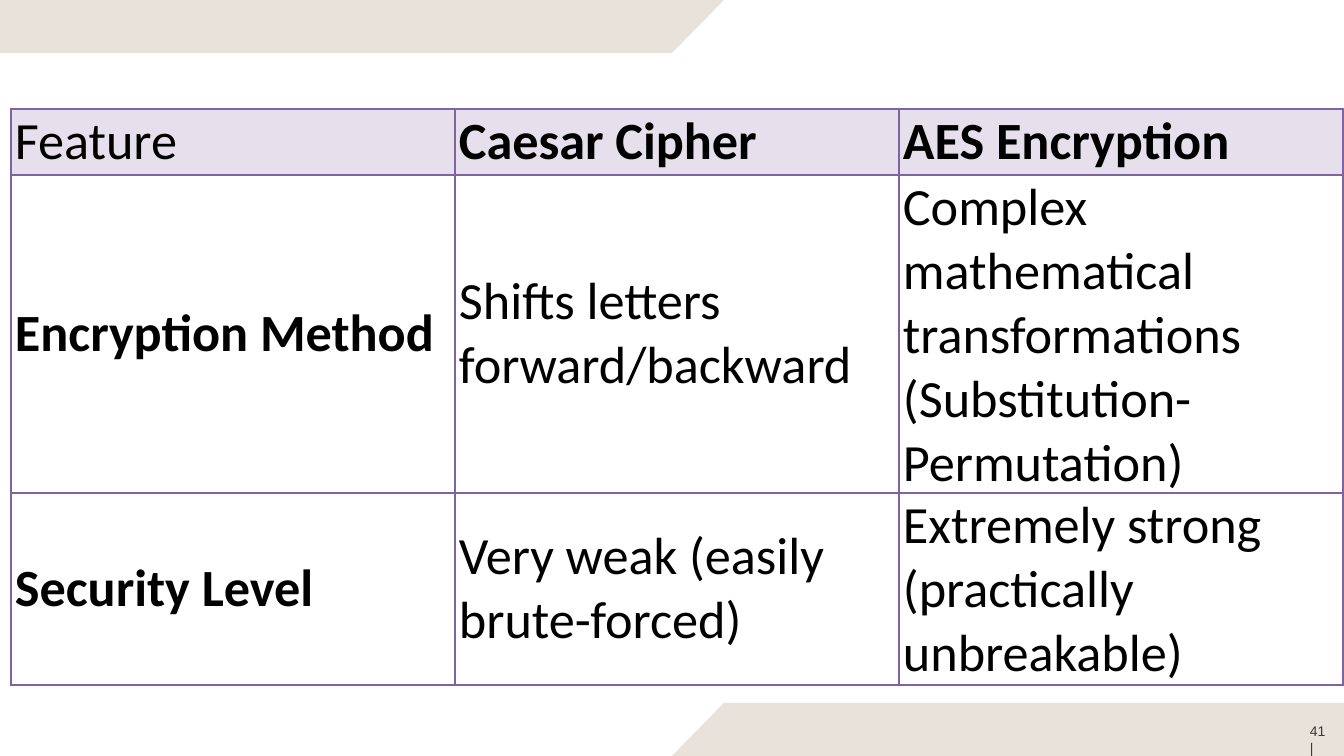
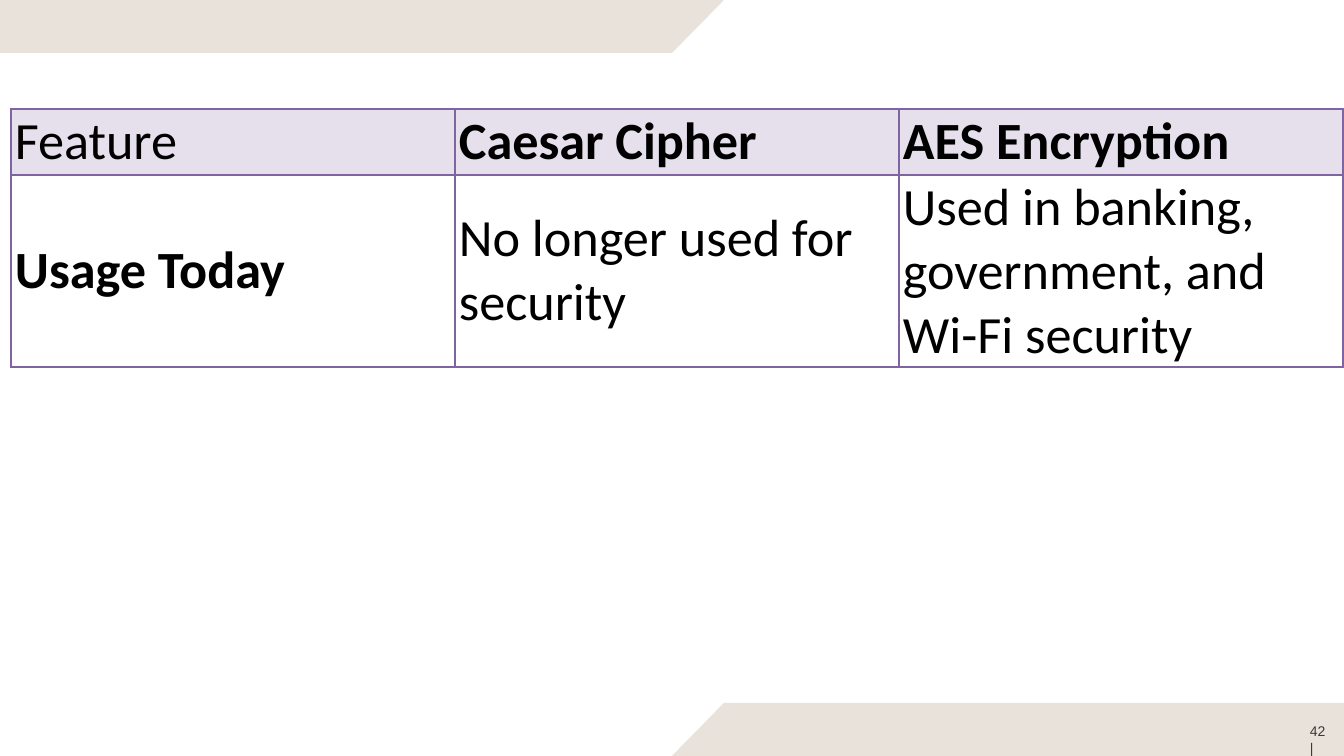
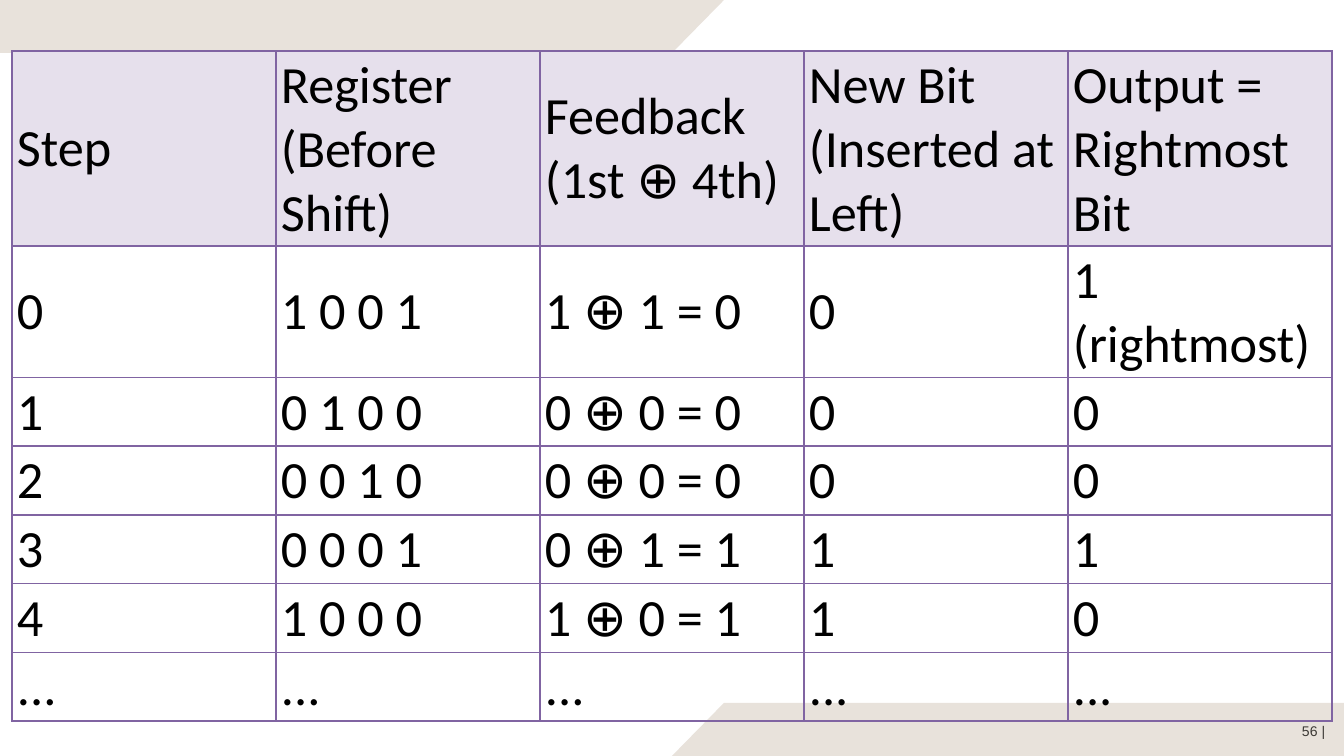
import dataclasses
import typing

import lxml.etree
import pptx
import pptx.dml.color
import pptx.enum.text
import pptx.oxml.ns
import pptx.presentation
import pptx.slide
import pptx.table
import pptx.util

EMU_PER_PX = 914400 / 134.4
SLIDE_WIDTH, SLIDE_HEIGHT = 1344, 756
BLANK_LAYOUT = 6


@dataclasses.dataclass(frozen=True)
class Theme:
    """Colours, fonts and type sizes of the deck."""

    background: str = "FFFFFF"
    band: str = "E8E2DB"
    page_number: str = "3C3935"
    cell_text: str = "000000"
    header_fill: str = "E6E0EC"
    border: str = "8064A2"
    table_font: str = "Calibri"
    page_font: str = "Arial"
    table_size: float = 28
    page_size: float = 7.5
    border_width: float = 1


@dataclasses.dataclass(frozen=True)
class Comparison:
    """A table slide with its page number."""

    page: int
    page_indent: int
    left: int
    top: int
    column_width: int
    row_heights: tuple[int, ...]
    margin_x: int
    margin_y: int
    bold_labels: bool
    rows: tuple[tuple[str, ...], ...]


THEME = Theme()

BANDS = (
    ((724, 0), (0, 0), (0, 53), (672, 53)),
    ((1344, 703), (724, 703), (672, 756), (1344, 756)),
)

CIPHER_HEADER = ("Feature", "Caesar Cipher", "AES Encryption")


def cipher_comparison(
    page: int, row_heights: tuple[int, ...], *features: tuple[str, ...]
) -> Comparison:
    """Describe a slide that compares the two ciphers."""
    return Comparison(
        page, 9, 11, 109, 444, row_heights, 4, 1, True, (CIPHER_HEADER, *features)
    )


SLIDES = (
    cipher_comparison(
        41,
        (66, 318, 192),
        (
            "Encryption Method",
            "Shifts letters forward/backward",
            "Complex mathematical transformations (Substitution-Permutation)",
        ),
        (
            "Security Level",
            "Very weak (easily brute-forced)",
            "Extremely strong (practically unbreakable)",
        ),
    ),
    cipher_comparison(
        42,
        (66, 192),
        (
            "Usage Today",
            "No longer used for security",
            "Used in banking, government, and Wi-Fi security",
        ),
    ),
    Comparison(
        page=56,
        page_indent=1,
        left=12,
        top=51,
        column_width=264,
        row_heights=(195, 131) + (68,) * 5,
        margin_x=5,
        margin_y=3,
        bold_labels=False,
        rows=(
            (
                "Step",
                "Register (Before Shift)",
                "Feedback (1st ⊕ 4th)",
                "New Bit (Inserted at Left)",
                "Output = Rightmost Bit",
            ),
            ("0", "1 0 0 1", "1 ⊕ 1 = 0", "0", "1 (rightmost)"),
            ("1", "0 1 0 0", "0 ⊕ 0 = 0", "0", "0"),
            ("2", "0 0 1 0", "0 ⊕ 0 = 0", "0", "0"),
            ("3", "0 0 0 1", "0 ⊕ 1 = 1", "1", "1"),
            ("4", "1 0 0 0", "1 ⊕ 0 = 1", "1", "0"),
            ("...",) * 5,
        ),
    ),
)


def px(length: int) -> pptx.util.Emu:
    """Turn pixels into EMU."""
    return pptx.util.Emu(round(length * EMU_PER_PX))


def rgb(value: str) -> pptx.dml.color.RGBColor:
    """Turn a hex string into a colour."""
    return pptx.dml.color.RGBColor.from_string(value)


def style_font(font: typing.Any, name: str, size: float, colour: str) -> None:
    """Set the face, size and colour of a font."""
    font.name = name
    font.size = pptx.util.Pt(size)
    font.color.rgb = rgb(colour)


def draw_bands(slide: pptx.slide.Slide) -> None:
    """Draw the slanted bands at the top and bottom."""
    for start, *corners in BANDS:
        outline = slide.shapes.build_freeform(*start, scale=EMU_PER_PX)
        outline.add_line_segments(corners, close=True)
        band = outline.convert_to_shape()
        band.shadow.inherit = False
        band.fill.solid()
        band.fill.fore_color.rgb = rgb(THEME.band)
        band.line.fill.background()


def draw_page_number(slide: pptx.slide.Slide, page: int, indent: int) -> None:
    """Write the page number and its closing bar."""
    footer = slide.shapes.add_textbox(px(1301), px(723), px(31), px(20)).text_frame
    footer.margin_left = footer.margin_right = 0
    footer.margin_top = footer.margin_bottom = 0
    footer.word_wrap = True
    footer.auto_size = pptx.enum.text.MSO_AUTO_SIZE.SHAPE_TO_FIT_TEXT
    line = footer.paragraphs[0]
    line.text = f"{page} "
    line._p.get_or_add_pPr().set("marL", str(px(indent)))
    bar = line.add_run()
    bar.text = "|"
    bar._r.get_or_add_rPr().set("spc", "-50")
    for run in line.runs:
        style_font(run.font, THEME.page_font, THEME.page_size, THEME.page_number)


def add_borders(cell: pptx.table._Cell) -> None:
    """Rule all four sides of a cell."""
    qn = pptx.oxml.ns.qn
    properties = cell._tc.get_or_add_tcPr()
    for position, side in enumerate(("a:lnL", "a:lnR", "a:lnT", "a:lnB")):
        rule = lxml.etree.Element(
            qn(side), w=str(pptx.util.Pt(THEME.border_width))
        )
        fill = lxml.etree.SubElement(rule, qn("a:solidFill"))
        lxml.etree.SubElement(fill, qn("a:srgbClr"), val=THEME.border)
        properties.insert(position, rule)


def fill_cell(
    cell: pptx.table._Cell, wording: str, comparison: Comparison, header: bool, bold: bool
) -> None:
    """Write and format one cell."""
    cell.margin_left = cell.margin_right = px(comparison.margin_x)
    cell.margin_top = cell.margin_bottom = px(comparison.margin_y)
    cell.vertical_anchor = pptx.enum.text.MSO_ANCHOR.MIDDLE
    cell.text_frame.text = wording
    font = cell.text_frame.paragraphs[0].runs[0].font
    style_font(font, THEME.table_font, THEME.table_size, THEME.cell_text)
    font.bold = bold
    if header:
        cell.fill.solid()
        cell.fill.fore_color.rgb = rgb(THEME.header_fill)
    else:
        cell.fill.background()
    add_borders(cell)


def draw_comparison(slide: pptx.slide.Slide, comparison: Comparison) -> None:
    """Draw the table of a slide."""
    column_count = len(comparison.rows[0])
    grid = slide.shapes.add_table(
        len(comparison.rows),
        column_count,
        px(comparison.left),
        px(comparison.top),
        px(comparison.column_width * column_count),
        px(sum(comparison.row_heights)),
    ).table
    grid.first_row = grid.horz_banding = False
    for column in grid.columns:
        column.width = px(comparison.column_width)
    for row, height in zip(grid.rows, comparison.row_heights):
        row.height = px(height)
    for r, wordings in enumerate(comparison.rows):
        for c, wording in enumerate(wordings):
            bold = comparison.bold_labels and (r == 0) != (c == 0)
            fill_cell(grid.cell(r, c), wording, comparison, r == 0, bold)


def add_slide(deck: pptx.presentation.Presentation, comparison: Comparison) -> None:
    """Add one complete slide."""
    slide = deck.slides.add_slide(deck.slide_layouts[BLANK_LAYOUT])
    slide.background.fill.solid()
    slide.background.fill.fore_color.rgb = rgb(THEME.background)
    draw_bands(slide)
    draw_page_number(slide, comparison.page, comparison.page_indent)
    draw_comparison(slide, comparison)


def main() -> None:
    """Build and save the deck."""
    deck = pptx.Presentation()
    deck.slide_width, deck.slide_height = px(SLIDE_WIDTH), px(SLIDE_HEIGHT)
    for comparison in SLIDES:
        add_slide(deck, comparison)
    deck.save("out.pptx")


if __name__ == "__main__":
    main()
